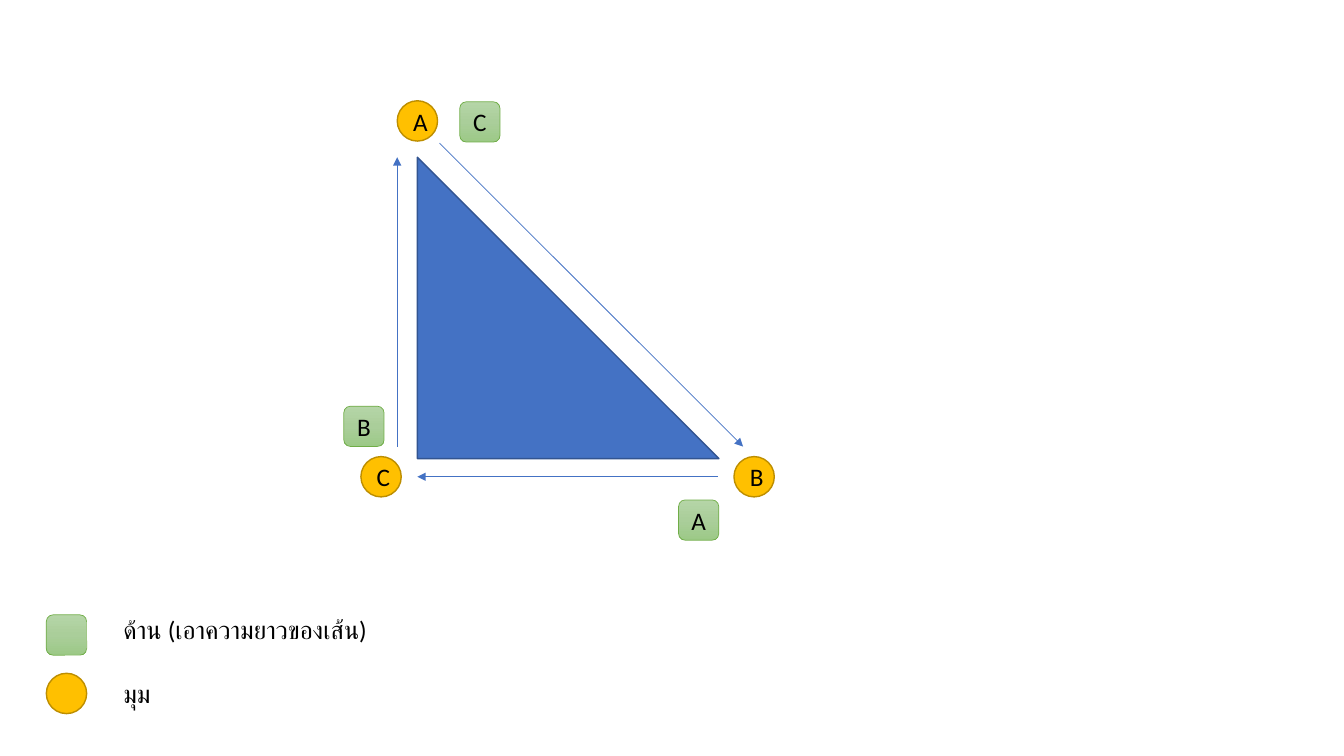
"""Build a slide that names the sides and corners of a right triangle."""
from copy import deepcopy
from typing import NamedTuple

from lxml import etree
from pptx import Presentation
from pptx import util as u
from pptx.dml.color import RGBColor
from pptx.enum import shapes, text
from pptx.oxml.ns import qn

COLORS = {
    "triangle": "4472C4",
    "triangle_edge": "325491",
    "corner": "FFC000",
    "corner_edge": "BD8E00",
    "side_edge": "70AD47",
    "text": "000000",
}
SIDE_GRADIENT = ("B5D5A7", "AACE9A", "9CC987")
MARKER_SIZE = 0.4
FONT = "Calibri"


class Marker(NamedTuple):
    """A lettered marker at its top left corner."""
    letter: str
    left: float
    top: float


class Arrow(NamedTuple):
    """An arrow from its start point to its head."""
    start: tuple[float, float]
    end: tuple[float, float]


class Caption(NamedTuple):
    """A legend caption with its frame."""
    wording: str
    top: float
    width: float


CORNERS = (
    Marker("A", 3.94, 1.0),
    Marker("B", 7.28, 4.53),
    Marker("C", 3.58, 4.53),
    Marker("", 0.46, 6.68),
)
SIDES = (
    Marker("C", 4.56, 1.01),
    Marker("A", 6.73, 4.96),
    Marker("B", 3.41, 4.03),
    Marker("", 0.46, 6.1),
)
ARROWS = (
    Arrow((4.36, 1.42), (7.37, 4.43)),
    Arrow((7.12, 4.73), (4.14, 4.73)),
    Arrow((3.94, 4.43), (3.94, 1.56)),
)
CAPTIONS = (
    Caption("ด้าน (เอาความยาวของเส้น)", 5.98, 4.79),
    Caption("มุม", 6.62, 2.18),
)


def color(name: str) -> RGBColor:
    """Return a named colour."""
    return RGBColor.from_string(COLORS[name])


def add_box(page, kind, left: float, top: float, width: float, height: float):
    """Add a preset shape without a shadow."""
    box = page.shapes.add_shape(
        kind, u.Inches(left), u.Inches(top), u.Inches(width), u.Inches(height))
    box.shadow.inherit = False
    return box


def outline(box, name: str, points: float) -> None:
    """Set the outline colour and width."""
    box.line.color.rgb = color(name)
    box.line.width = u.Pt(points)


def write(box, wording: str, alignment) -> None:
    """Put one line of text in a shape."""
    box.text_frame.text = wording
    box.text_frame.vertical_anchor = text.MSO_ANCHOR.MIDDLE
    para = box.text_frame.paragraphs[0]
    para.alignment = alignment
    for span in para.runs:
        span.font.name = FONT
        span.font.size = u.Pt(18)
        span.font.color.rgb = color("text")


def fill_gradient(box) -> None:
    """Fill a shape with the green gradient, running downwards."""
    box.fill.gradient()
    box.fill.gradient_angle = 270
    stops = box._element.spPr.find(qn("a:gradFill")).find(qn("a:gsLst"))
    stops.insert(1, deepcopy(stops[0]))
    for index, (stop, value) in enumerate(zip(box.fill.gradient_stops, SIDE_GRADIENT)):
        stop.position = index / 2
        stop.color.rgb = RGBColor.from_string(value)


def add_marker(page, marker: Marker, kind):
    """Add a marker with its letter."""
    box = add_box(page, kind, marker.left, marker.top, MARKER_SIZE, MARKER_SIZE)
    if marker.letter:
        write(box, marker.letter, text.PP_ALIGN.CENTER)
    return box


def add_corner(page, marker: Marker) -> None:
    """Add a yellow corner marker."""
    box = add_marker(page, marker, shapes.MSO_SHAPE.OVAL)
    box.fill.solid()
    box.fill.fore_color.rgb = color("corner")
    outline(box, "corner_edge", 1)


def add_side(page, marker: Marker) -> None:
    """Add a green side marker."""
    box = add_marker(page, marker, shapes.MSO_SHAPE.ROUNDED_RECTANGLE)
    fill_gradient(box)
    outline(box, "side_edge", 0.5)


def add_arrow(page, arrow: Arrow) -> None:
    """Add a thin arrow along a side."""
    points = [u.Inches(value) for value in arrow.start + arrow.end]
    line = page.shapes.add_connector(shapes.MSO_CONNECTOR.STRAIGHT, *points)
    outline(line, "triangle", 0.5)
    etree.SubElement(line.line._get_or_add_ln(), qn("a:tailEnd"), type="triangle")
    etree.SubElement(line._element.spPr, qn("a:effectLst"))


def add_caption(page, caption: Caption) -> None:
    """Add a legend caption."""
    box = add_box(page, shapes.MSO_SHAPE.ROUNDED_RECTANGLE,
                  1.1, caption.top, caption.width, 0.52)
    box.fill.background()
    box.line.fill.background()
    write(box, caption.wording, text.PP_ALIGN.LEFT)


def main() -> None:
    """Draw the triangle, its markers and the legend."""
    deck = Presentation()
    deck.slide_width, deck.slide_height = u.Inches(13.33), u.Inches(7.5)
    page = deck.slides.add_slide(deck.slide_layouts.get_by_name("Blank"))
    triangle = add_box(page, shapes.MSO_SHAPE.RIGHT_TRIANGLE, 4.14, 1.56, 2.99, 2.99)
    triangle.fill.solid()
    triangle.fill.fore_color.rgb = color("triangle")
    outline(triangle, "triangle_edge", 1)
    for items, draw in ((CORNERS, add_corner), (ARROWS, add_arrow),
                        (SIDES, add_side), (CAPTIONS, add_caption)):
        for item in items:
            draw(page, item)
    deck.save("out.pptx")


if __name__ == "__main__":
    main()
